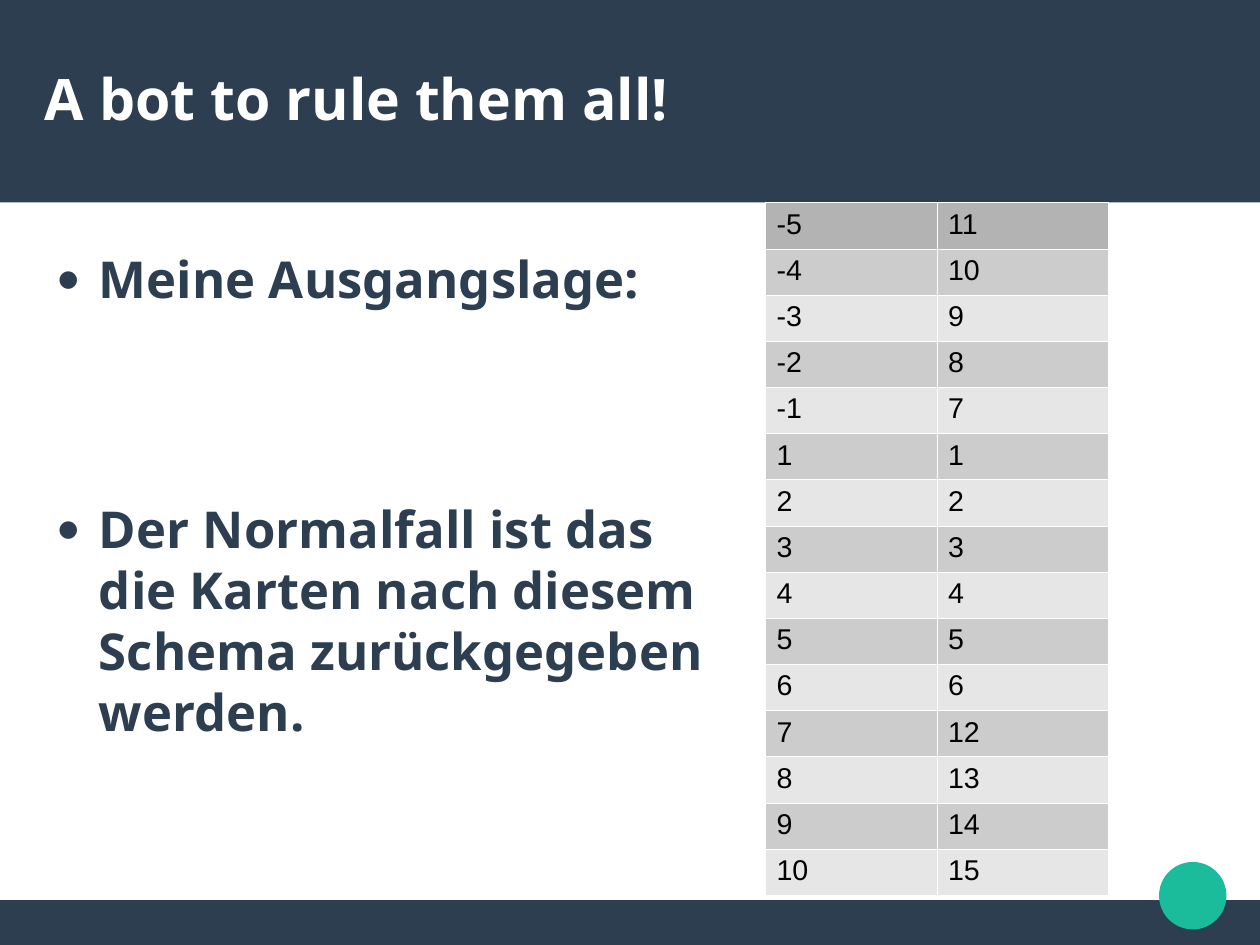
from dataclasses import dataclass

from lxml.etree import SubElement
from pptx import Presentation
from pptx.dml.color import RGBColor as RGB
from pptx.enum.shapes import MSO_SHAPE as SHAPE
from pptx.enum.text import MSO_ANCHOR as ANCHOR, MSO_AUTO_SIZE as AUTO
from pptx.oxml import parse_xml
from pptx.oxml.ns import nsdecls, qn
from pptx.util import Pt


@dataclass(frozen=True)
class Theme:
    """Colours, fonts and type sizes of the deck."""
    navy: str = "2C3E50"
    teal: str = "1ABC9C"
    white: str = "FFFFFF"
    black: str = "000000"
    header: str = "B3B3B3"
    bands: tuple = ("E6E6E6", "CCCCCC")
    font: str = "Noto Sans"
    table_font: str = "Arial"
    title_size: float = 36
    body_size: float = 32
    table_size: float = 18
    line_pitch: float = 38.4
    border: float = 0.06


T = Theme()
WIDTH, HEIGHT = 793.7, 595.3
HEADER_H, FOOTER_H = 127.6, 28.3
MARGIN, TEXT_W = 28.35, 737

BULLETS = [
    "Meine Ausgangslage:",
    "Der Normalfall ist das\vdie Karten nach diesem\vSchema zurückgegeben\vwerden.",
]
CARD_IN = [*range(-5, 0), *range(1, 11)]
CARD_OUT = [*range(11, 6, -1), *range(1, 7), *range(12, 16)]


def write(p, text, *, size, color, font=T.font, bold=False):
    """Put formatted text into a paragraph."""
    p.text = text
    for r in p.runs:
        f = r.font
        f.name, f.size, f.bold = font, Pt(size), bold
        f.color.rgb = RGB.from_string(color)


def place(sp, box):
    """Move and size a placeholder and clear its insets."""
    sp.left, sp.top, sp.width, sp.height = map(Pt, box)
    tf = sp.text_frame
    tf.margin_left = tf.margin_right = tf.margin_top = tf.margin_bottom = 0
    tf.word_wrap, tf.auto_size = True, AUTO.NONE
    return tf


def add_plain(s, kind, box, color):
    """Add a flat shape without outline or shadow."""
    sp = s.shapes.add_shape(kind, *map(Pt, box))
    sp.fill.solid()
    sp.fill.fore_color.rgb = RGB.from_string(color)
    sp.line.fill.background()
    sp.shadow.inherit = False


def add_frame(s, box):
    """Draw the header, footer and dot behind the placeholders."""
    x, y, w, h = box
    bottom = y + h - FOOTER_H
    dot = 42.5
    add_plain(s, SHAPE.RECTANGLE, (x, bottom, w, FOOTER_H), T.navy)
    add_plain(s, SHAPE.RECTANGLE, (x, y, w, HEADER_H), T.navy)
    add_plain(s, SHAPE.OVAL, (x + w - 63.6, bottom - 24, dot, dot), T.teal)
    for sp in list(s.placeholders):
        s.shapes._spTree.append(sp._element)


def add_title(s, box, text):
    """Fill the title placeholder."""
    tf = place(s.shapes.title, box)
    tf.vertical_anchor = ANCHOR.MIDDLE
    p = tf.paragraphs[0]
    write(p, text, size=T.title_size, color=T.white, bold=True)
    p.alignment = 1


def set_bullet(p):
    """Give a paragraph a small round bullet with a hanging indent."""
    pPr = p._p.get_or_add_pPr()
    pPr.set("marL", str(Pt(34)))
    pPr.set("indent", str(-Pt(25.5)))
    SubElement(SubElement(pPr, qn("a:buClr")), qn("a:srgbClr"), val=T.navy)
    SubElement(pPr, qn("a:buSzPct"), val="45000")
    SubElement(pPr, qn("a:buFont"), typeface=T.font)
    SubElement(pPr, qn("a:buChar"), char="●")


def add_bullets(s, box, items):
    """Fill the body placeholder, with a wide gap between the items."""
    tf = place(s.placeholders[1], box)
    tf.vertical_anchor = ANCHOR.TOP
    for i, text in enumerate(items):
        p = tf.add_paragraph() if i else tf.paragraphs[0]
        write(p, text, size=T.body_size, color=T.navy, bold=True)
        p.line_spacing = Pt(T.line_pitch)
        p.space_before, p.space_after = Pt(0), Pt(119.1)
        set_bullet(p)


def format_cell(cell, text, fill):
    """Write one table cell with its fill and thin white borders."""
    write(cell.text_frame.paragraphs[0], text, size=T.table_size,
          color=T.black, font=T.table_font)
    cell.margin_left = cell.margin_right = Pt(7.2)
    cell.margin_top = cell.margin_bottom = Pt(3.6)
    cell.fill.solid()
    cell.fill.fore_color.rgb = RGB.from_string(fill)
    tcPr = cell._tc.get_or_add_tcPr()
    for i, side in enumerate(("lnL", "lnR", "lnT", "lnB")):
        tcPr.insert(i, parse_xml(
            f'<a:{side} {nsdecls("a")} w="{Pt(T.border)}"><a:solidFill>'
            f'<a:srgbClr val="{T.white}"/></a:solidFill></a:{side}>'))


def add_card_table(s, box, rows):
    """Add the table that maps each card to the one returned."""
    table = s.shapes.add_table(len(rows), len(rows[0]), *map(Pt, box)).table
    table.first_row = table.horz_banding = False
    for i, values in enumerate(rows):
        table.rows[i].height = Pt(box[3] / len(rows))
        fill = T.bands[i % 2] if i else T.header
        for j, value in enumerate(values):
            format_cell(table.cell(i, j), str(value), fill)


def build_slide(prs, box):
    """Build the slide with title, bullets and card table."""
    s = prs.slides.add_slide(prs.slide_layouts[1])
    x, y, _, _ = box
    add_frame(s, box)
    add_title(s, (x + MARGIN, y + 23.7, TEXT_W, 75.6), "A bot to rule them all!")
    add_bullets(s, (x + MARGIN, y + 156, TEXT_W, 396.8), BULLETS)
    add_card_table(s, (x + 482, y + HEADER_H, 216, 436.5),
                   list(zip(CARD_IN, CARD_OUT)))


prs = Presentation()
prs.slide_width, prs.slide_height = Pt(WIDTH), Pt(HEIGHT)
build_slide(prs, (0, 0, WIDTH, HEIGHT))
prs.save("out.pptx")
